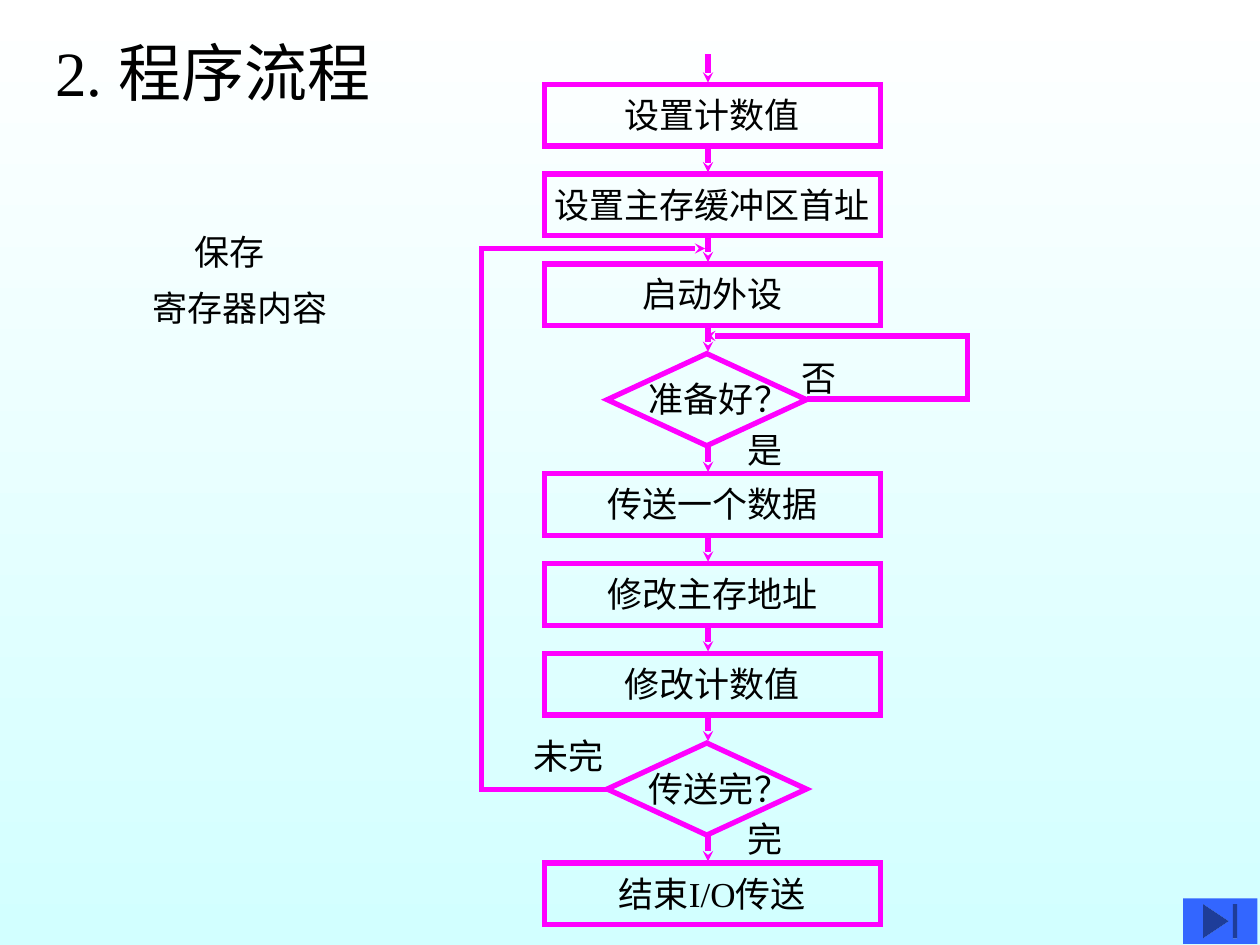
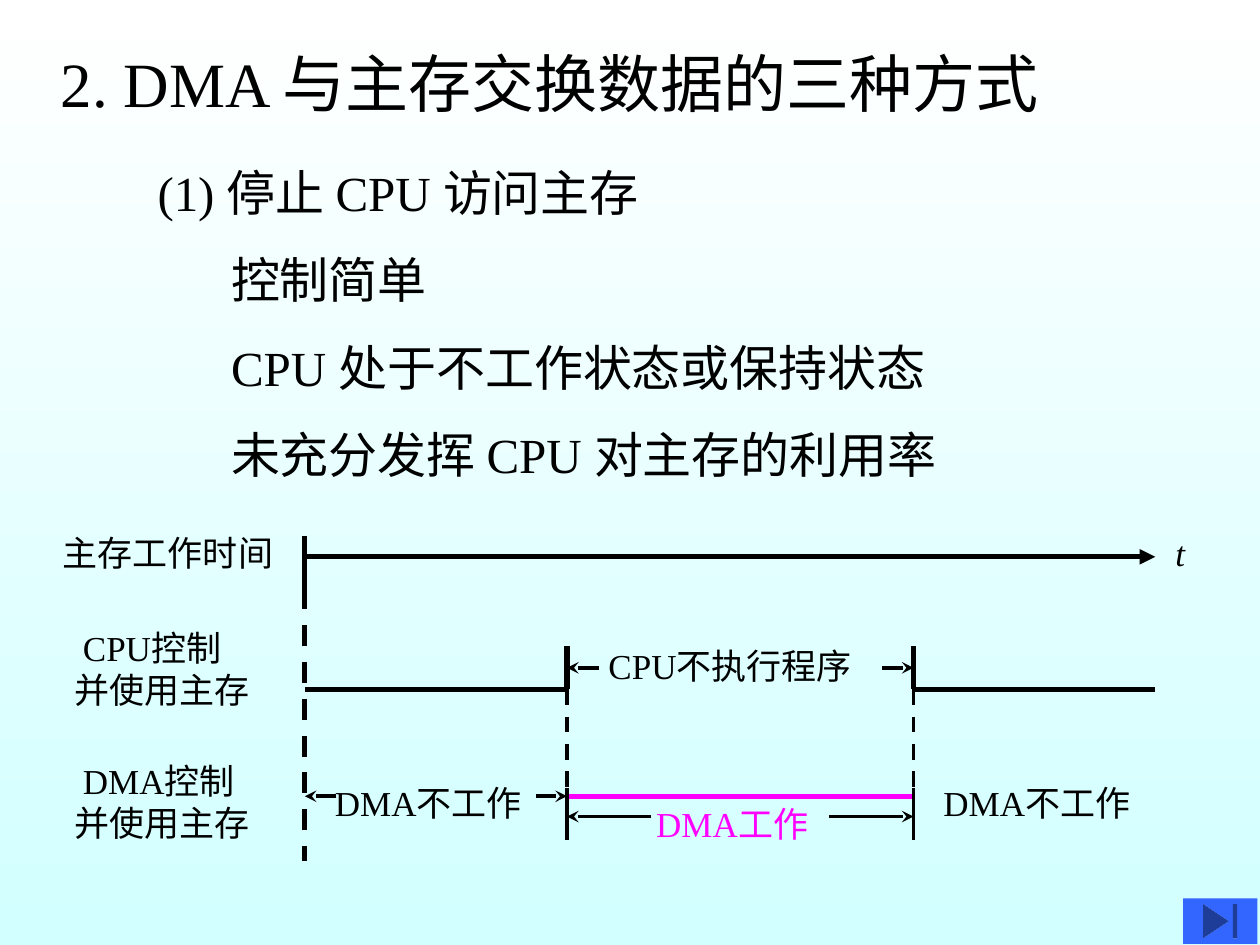
from lxml.etree import SubElement
from pptx import Presentation
from pptx.dml.color import RGBColor
from pptx.enum.dml import MSO_LINE
from pptx.enum.shapes import MSO_CONNECTOR, MSO_SHAPE
from pptx.enum.text import MSO_ANCHOR, MSO_AUTO_SIZE, PP_ALIGN
from pptx.oxml.ns import qn
from pptx.util import Pt

# Shared look
COLORS = {"ink": "000000", "flow": "FF00FF", "button": "3366FF",
          "sky_top": "FFFFFF", "sky_bottom": "D2FFFF"}
FONT = "Times New Roman"
TITLE, BODY, LABEL = 36, 28, 20
BUTTON_BOX = (676, 513.4, 42.5, 26)
FRAME = {"word_wrap": False, "auto_size": MSO_AUTO_SIZE.NONE,
         "vertical_anchor": MSO_ANCHOR.TOP}

# Slide 1: flowchart steps, top to bottom, and their branches
FLOW_TITLE = ("2. 程序流程", (24.5, 15.8, 230, 50.4))
STEPS = [
    ("box", "设置计数值"),
    ("box", "设置主存缓冲区首址"),
    ("box", "启动外设"),
    ("test", "准备好？"),
    ("box", "传送一个数据"),
    ("box", "修改主存地址"),
    ("box", "修改计数值"),
    ("test", "传送完？"),
    ("box", "结束I/O传送"),
]
STEP_KINDS = {  # shape, left, width, height, extra left inset
    "box": (MSO_SHAPE.RECTANGLE, 311, 192.2, 35.3, 0),
    "test": (MSO_SHAPE.DIAMOND, 347, 113.8, 52.6, 14),
}
FIRST_TOP, STEP_GAP, FLOW_X, FLOW_START = 48.2, 16, 404.6, 31
BRANCHES = [
    [(348.5, 450.7), (275, 451.4), (275, 141.8), (403.2, 141.8)],
    [(460.8, 228.2), (552.8, 228.2), (552.8, 191.5), (403.2, 192.2)],
]
BRANCH_LABELS = [
    ("未完", (298, 416.2, 54, 31.7)),
    ("是", (419.8, 241.2, 34.6, 31.7)),
    ("完", (419.8, 463.7, 34.6, 31.7)),
    ("否", (450.7, 200.2, 34.6, 31.7)),
]
SAVE_NOTE = ([("保存", 37), ("寄存器内容", 13)], (67, 120, 157, 76.3))

# Slide 2: list with indents, then the timing diagram
DMA_TITLE = ("2. DMA 与主存交换数据的三种方式", (27.4, 21.6, 600, 50.4))
DMA_POINTS = [
    ("(1) 停止 CPU 访问主存", 0),
    ("控制简单", 42),
    ("CPU 处于不工作状态或保持状态", 42),
    ("未充分发挥 CPU 对主存的利用率", 42),
]
DMA_BODY = (82.8, 89.3, 530, 191)
T0, T1, T2, T_END = 174.2, 324, 522, 660.2   # key moments on the time axis
AXIS_Y, CPU_Y, DMA_Y = 318.2, 393.8, 455
CPU_SPAN_Y, DMA_SPAN_Y = 381.6, 466.6
THICK, THIN = 3, 2.25
TIMELINES = [  # x1, y1, x2, y2, width, format
    (T0, 306, T0, 336.2, THICK, {}),
    (T0, AXIS_Y, T_END, AXIS_Y, THICK, {"arrow": "triangle"}),
    (T0, 336.2, T0, 491.8, THICK, {"dash": True}),
    (T0, CPU_Y, T1, CPU_Y, THICK, {}),
    (T2, CPU_Y, T_END, CPU_Y, THICK, {}),
    (T1, DMA_Y, T2, DMA_Y, THICK, {"color": "flow"}),
]
for t in (T1, T2):
    TIMELINES += [
        (t, 369.4, t, CPU_Y, THICK, {}),
        (t, CPU_Y, t, 455.8, THIN, {"dash": True}),
        (t, 450, t, 480.2, THIN, {}),
    ]
SPANS = [  # start, end, y, arrow length
    (T1, T2, CPU_SPAN_Y, 18),
    (T0, T1, DMA_Y, 18),
    (T1, T2, DMA_SPAN_Y, 48.2),
]
TIME_LABELS = [  # lines with indents, box, format
    ([("主存工作时间", 0)], (28.8, 300.2, 134.6, 31.7), {}),
    ([("CPU控制", 5), ("并使用主存", 0)], (35.3, 354.2, 114.5, 55.4), {}),
    ([("DMA控制", 5), ("并使用主存", 0)], (35.3, 430.6, 114.5, 55.4), {}),
    ([("CPU不执行程序", 0)], (340.6, 365, 158.4, 31.7), {}),
    ([("DMA不工作", 0)], (184.3, 442.8, 126, 31.7), {}),
    ([("DMA不工作", 0)], (532, 442.8, 126, 31.7), {}),
    ([("DMA工作", 0)], (367.9, 455, 105.8, 31.7), {"color": "flow"}),
    ([("t", 0)], (664.6, 300.2, 19.4, 31.7), {"italic": True}),
]


def rgb(name):
    return RGBColor.from_string(COLORS[name])


def points(values):
    return [Pt(v) for v in values]


def write(tf, lines, size=LABEL, color="ink", italic=False, pitch=None,
          gap=0, align=PP_ALIGN.LEFT, **frame):
    """Fill a text frame with (text, left indent) lines."""
    for name, value in {**FRAME, **frame}.items():
        setattr(tf, name, value)
    for i, (text, indent) in enumerate(lines):
        p = tf.paragraphs[0] if i == 0 else tf.add_paragraph()
        pPr = p._p.get_or_add_pPr()
        pPr.set("marL", str(Pt(indent)))
        pPr.set("indent", "0")
        SubElement(pPr, qn("a:buNone"))
        layout = {"alignment": align, "line_spacing": Pt(pitch or 1.2 * size),
                  "space_before": Pt(gap if i else 0), "space_after": Pt(0)}
        for name, value in layout.items():
            setattr(p, name, value)
        r = p.add_run()
        r.text = text
        look = {"name": FONT, "size": Pt(size), "bold": False, "italic": italic}
        for name, value in look.items():
            setattr(r.font, name, value)
        r.font.color.rgb = rgb(color)


def fill_placeholder(sp, box, lines, **fmt):
    for name, value in zip(("left", "top", "width", "height"), points(box)):
        setattr(sp, name, value)
    write(sp.text_frame, lines, **fmt)


def add_label(s, lines, box, **fmt):
    write(s.shapes.add_textbox(*points(box)).text_frame, lines, **fmt)


def style_line(sp, color="ink", width=THICK, dash=False, arrow=None, head="med"):
    sp.line.color.rgb = rgb(color)
    sp.line.width = Pt(width)
    if dash:
        sp.line.dash_style = MSO_LINE.DASH
    ln = sp.line._get_or_add_ln()
    SubElement(ln, qn("a:miter"), lim="800000")
    if arrow:
        SubElement(ln, qn("a:tailEnd"), type=arrow, w=head, len=head)


def add_line(s, x1, y1, x2, y2, **fmt):
    sp = s.shapes.add_connector(MSO_CONNECTOR.STRAIGHT, *points((x1, y1, x2, y2)))
    style_line(sp, **fmt)
    SubElement(sp._element.spPr, qn("a:effectLst"))


def add_branch(s, route):
    builder = s.shapes.build_freeform(*route[0], scale=Pt(1))
    builder.add_line_segments(route[1:], close=False)
    sp = builder.convert_to_shape()
    sp.fill.background()
    sp.shadow.inherit = False
    style_line(sp, "flow", arrow="stealth", head="sm")


def add_step(s, kind, text, top):
    """Draw one flowchart step and return its bottom edge."""
    shape, left, width, height, inset = STEP_KINDS[kind]
    sp = s.shapes.add_shape(shape, *points((left, top, width, height)))
    sp.fill.background()
    sp.shadow.inherit = False
    style_line(sp, "flow")
    write(sp.text_frame, [(text, 0)], align=PP_ALIGN.CENTER,
          vertical_anchor=MSO_ANCHOR.MIDDLE, margin_left=Pt(inset),
          margin_right=Pt(0), margin_top=Pt(3), margin_bottom=Pt(4))
    return top + height


def add_slide(prs, layout, title):
    text, box = title
    s = prs.slides.add_slide(prs.slide_layouts[layout])
    fill_placeholder(s.shapes.title, box, [(text, 0)], size=TITLE)
    return s


def add_button(s):
    sp = s.shapes.add_shape(MSO_SHAPE.ACTION_BUTTON_END, *points(BUTTON_BOX))
    sp.fill.solid()
    sp.fill.fore_color.rgb = rgb("button")
    sp.line.fill.background()
    sp.shadow.inherit = False


def set_background(prs):
    fill = prs.slide_master.background.fill
    fill.gradient()
    fill.gradient_angle = 270
    for stop, (name, position) in zip(fill.gradient_stops,
                                      (("sky_top", 0), ("sky_bottom", 1))):
        stop.color.rgb = rgb(name)
        stop.position = position


def build_flow_slide(prs):
    s = add_slide(prs, 5, FLOW_TITLE)
    arrow_from, top = FLOW_START, FIRST_TOP
    for kind, text in STEPS:
        add_line(s, FLOW_X, arrow_from, FLOW_X, top - 1, color="flow",
                 arrow="stealth", head="sm")
        arrow_from = add_step(s, kind, text, top)
        top = arrow_from + STEP_GAP
    for route in BRANCHES:
        add_branch(s, route)
    for text, box in BRANCH_LABELS:
        add_label(s, [(text, 0)], box)
    add_label(s, *SAVE_NOTE, pitch=32)
    add_button(s)


def build_dma_slide(prs):
    s = add_slide(prs, 1, DMA_TITLE)
    fill_placeholder(s.placeholders[1], DMA_BODY, DMA_POINTS, size=BODY, gap=16.4)
    for *ends, width, fmt in TIMELINES:
        add_line(s, *ends, width=width, **fmt)
    for start, end, y, length in SPANS:
        for tip, tail in ((start, start + length), (end, end - length)):
            add_line(s, tail, y, tip, y, width=THIN, arrow="stealth")
    for lines, box, fmt in TIME_LABELS:
        add_label(s, lines, box, **fmt)
    add_button(s)


def main():
    prs = Presentation()
    prs.slide_width, prs.slide_height = Pt(720), Pt(540)
    set_background(prs)
    build_flow_slide(prs)
    build_dma_slide(prs)
    prs.save("out.pptx")


if __name__ == "__main__":
    main()
